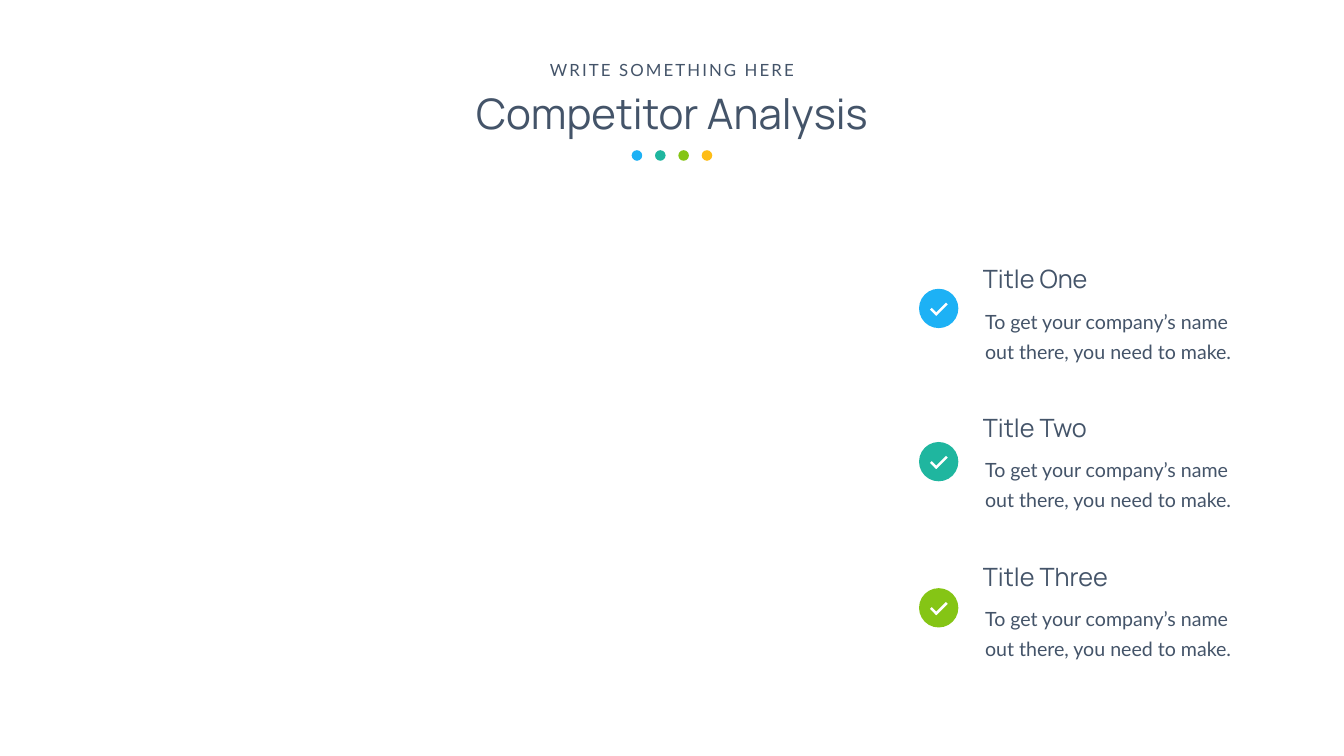
from pptx import Presentation
from pptx.dml.color import RGBColor
from pptx.enum.shapes import MSO_SHAPE
from pptx.enum.text import MSO_AUTO_SIZE, PP_ALIGN
from pptx.util import Inches, Pt

OVAL, RECT = MSO_SHAPE.OVAL, MSO_SHAPE.RECTANGLE
LEFT, CENTER = PP_ALIGN.LEFT, PP_ALIGN.CENTER
FIT_SHAPE = MSO_AUTO_SIZE.SHAPE_TO_FIT_TEXT

# Content
HEADING = "Competitor Analysis"
KICKER = "WRITE SOMETHING HERE"
BODY = "To get your company’s name out there, you need to make."
POINTS = [  # title, colour, top of the check badge
    ("Title One", "1DB1F5", 5.73),
    ("Title Two", "1FB69F", 8.77),
    ("Title Three", "85C515", 11.67),
]
DOT_COLORS = [color for _, color, _ in POINTS] + ["FEBD17"]
INK, WHITE = "445469", "FFFFFF"

# Layout, in inches
DOT_LEFT, DOT_TOP, DOT_SIZE, DOT_PITCH = 12.53, 2.98, 0.21, 0.463
POINT_TOP, POINT_PITCH = 5.18, 2.95
BADGE_LEFT, BADGE_SIZE = 18.23, 0.78

prs = Presentation()
prs.slide_width, prs.slide_height = Inches(26.66), Inches(15)
slide = prs.slides.add_slide(prs.slide_layouts[6])


def rgb(value):
    return RGBColor.from_string(value)


def add_solid(kind, left, top, width, height, color, rotation=0):
    solid = slide.shapes.add_shape(
        kind, Inches(left), Inches(top), Inches(width), Inches(height))
    solid.shadow.inherit = False
    solid.fill.solid()
    solid.fill.fore_color.rgb = rgb(color)
    solid.line.fill.background()
    solid.rotation = rotation


def add_text(text, left, top, width, height, font, size, align=LEFT,
             wrap=True, margins=(0.1, 0.05)):
    frame = slide.shapes.add_textbox(
        Inches(left), Inches(top), Inches(width), Inches(height)).text_frame
    frame.word_wrap = wrap
    frame.auto_size = FIT_SHAPE
    frame.margin_left = frame.margin_right = Inches(margins[0])
    frame.margin_top = frame.margin_bottom = Inches(margins[1])
    paragraph = frame.paragraphs[0]
    paragraph.text = text
    paragraph.alignment = align
    paragraph.font.name = font
    paragraph.font.size = Pt(size)
    paragraph.font.color.rgb = rgb(INK)
    return paragraph


# Heading
add_text(HEADING, 5.3, 1.68, 16.06, 1.11, "Manrope", 60, CENTER)
kicker = add_text(KICKER, 10.76, 1.13, 5.14, 0.5, "Lato", 24, CENTER, wrap=False)
kicker.runs[0]._r.get_or_add_rPr().set("spc", "300")  # letter spacing, 3 pt

# Row of dots
for i, color in enumerate(DOT_COLORS):
    add_solid(OVAL, DOT_LEFT + i * DOT_PITCH, DOT_TOP, DOT_SIZE, DOT_SIZE, color)

# Points, each with a check badge
for i, (title, color, badge_top) in enumerate(POINTS):
    top = POINT_TOP + i * POINT_PITCH
    body = add_text(BODY, 19.3, top + 0.71, 5.42, 1.39, "Lato", 28,
                    margins=(0.24, 0.12))
    body.line_spacing = Pt(43)
    add_text(title, 19.4, top, 4.53, 0.71, "Manrope", 36)
    add_solid(OVAL, BADGE_LEFT, badge_top, BADGE_SIZE, BADGE_SIZE, color)
    add_solid(RECT, BADGE_LEFT + 0.21, badge_top + 0.43, 0.17, 0.05, WHITE, 45)
    add_solid(RECT, BADGE_LEFT + 0.28, badge_top + 0.38, 0.32, 0.05, WHITE, 315)

prs.save("out.pptx")
